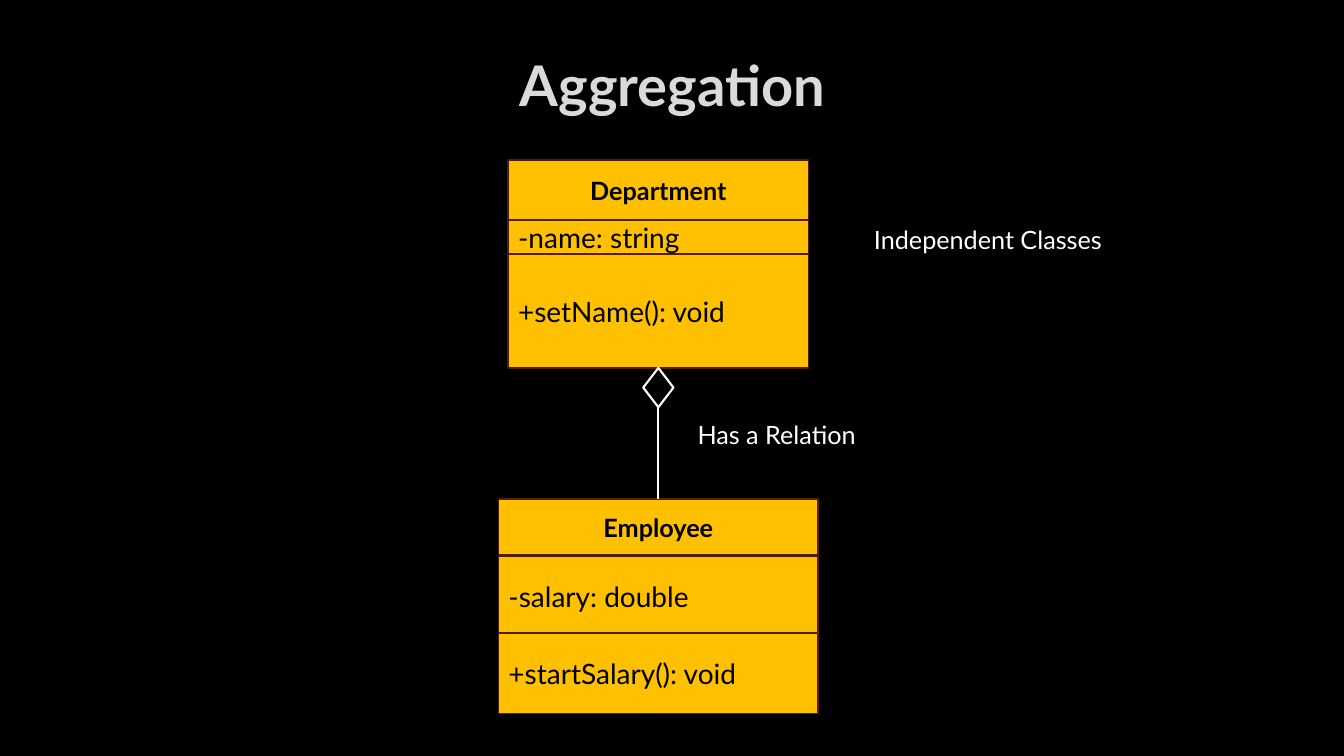
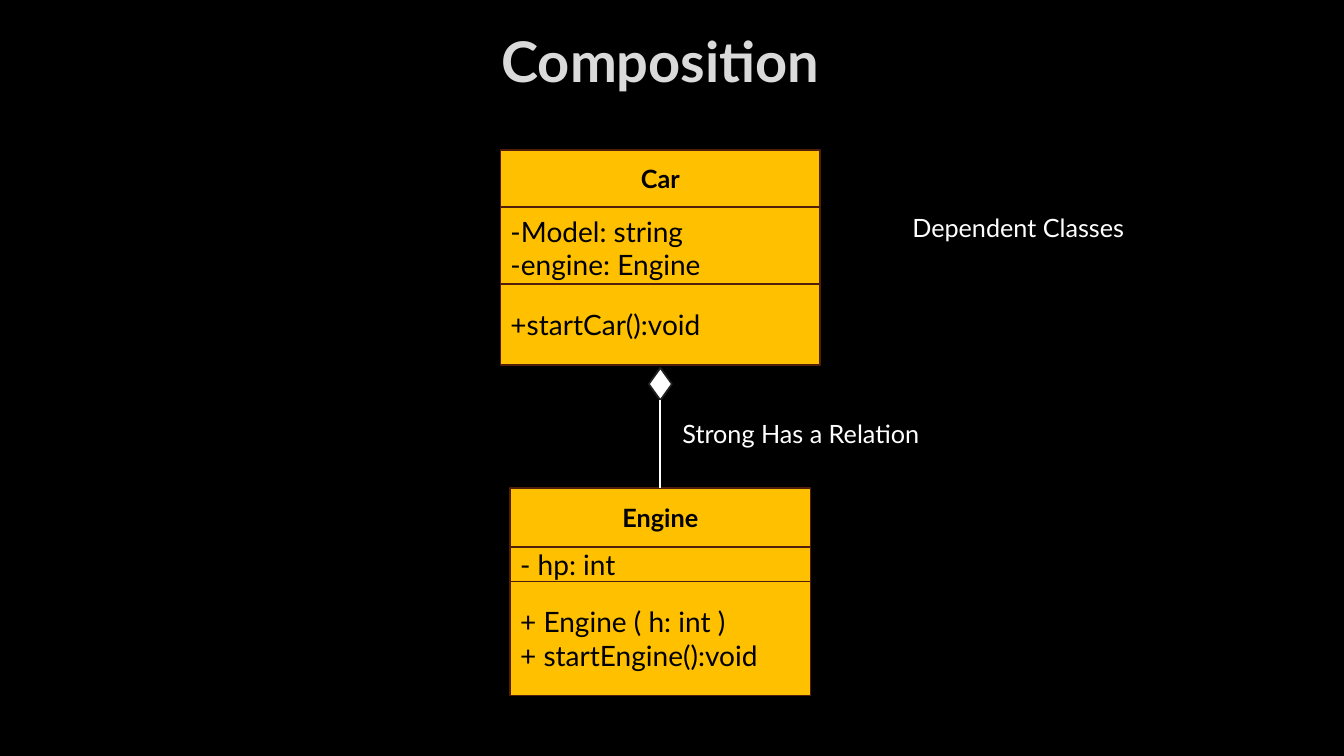
from lxml import etree
from pptx import Presentation
from pptx.dml.color import RGBColor
from pptx.enum import shapes, text
from pptx.oxml import ns
from pptx.util import Inches, Pt

COLORS = {
    "background": "000000",
    "title": "DADADA",
    "label": "FFFFFF",
    "link": "FFFFFF",
    "class_fill": "FFC000",
    "class_line": "521E0C",
    "class_text": "000000",
    "diamond_edge": "212123",
}
FONT = "Lato"
DIAMOND_TOP = 3.65

# Class box sizes: width, then (offset from top, height) of each compartment
NARROW = (2.98, [(0, 0.59), (0.59, 0.34), (0.93, 1.13)])
WIDE = (3.17, [(0, 0.56), (0.57, 0.8), (1.33, 0.8)])


def color(name):
    return RGBColor.from_string(COLORS[name])


def write(frame, content, size, color_name, bold=False,
          align=text.PP_ALIGN.LEFT):
    """Put text into a frame and format every run."""
    frame.text = content
    frame.word_wrap = True
    for paragraph in frame.paragraphs:
        paragraph.alignment = align
        for run in paragraph.runs:
            run.font.name = FONT
            run.font.size = Pt(size)
            run.font.bold = bold
            run.font.color.rgb = color(color_name)


def outline(shape, color_name, width):
    shape.shadow.inherit = False
    shape.line.color.rgb = color(color_name)
    shape.line.width = Pt(width)


def add_titled_slide(prs, title, left, top):
    slide = prs.slides.add_slide(prs.slide_layouts[5])
    heading = slide.shapes.title
    heading.left, heading.top = Inches(left), Inches(top)
    heading.width, heading.height = Inches(11.32), Inches(1.06)
    heading.text_frame.vertical_anchor = text.MSO_ANCHOR.MIDDLE
    write(heading.text_frame, title, 40, "title", True, text.PP_ALIGN.CENTER)
    return slide


def add_class(slide, axis, top, layout, name, fields, methods):
    """Draw a UML class centred on the axis; return its name compartment."""
    width, compartments = layout
    cells = []
    for (offset, height), content in zip(compartments, (name, fields, methods)):
        cell = slide.shapes.add_shape(
            shapes.MSO_SHAPE.RECTANGLE, Inches(axis - width / 2),
            Inches(top + offset), Inches(width), Inches(height))
        cell.fill.solid()
        cell.fill.fore_color.rgb = color("class_fill")
        outline(cell, "class_line", 1.25)
        cell.text_frame.vertical_anchor = text.MSO_ANCHOR.MIDDLE
        if cells:
            write(cell.text_frame, content, 20, "class_text")
        else:
            write(cell.text_frame, content, 18, "class_text", True,
                  text.PP_ALIGN.CENTER)
        cells.append(cell)
    return cells[0]


def add_diamond(slide, axis, width, height, filled):
    diamond = slide.shapes.add_shape(
        shapes.MSO_SHAPE.FLOWCHART_DECISION, Inches(axis - width / 2),
        Inches(DIAMOND_TOP), Inches(width), Inches(height))
    if filled:
        diamond.fill.solid()
        diamond.fill.fore_color.rgb = color("link")
        outline(diamond, "diamond_edge", 1.25)
    else:
        diamond.fill.background()
        outline(diamond, "link", 1.5)
    return diamond


def add_link(slide, part, diamond):
    """Join the top of the part class to the bottom of the diamond."""
    link = slide.shapes.add_connector(shapes.MSO_CONNECTOR.STRAIGHT, 0, 0, 0, 0)
    link.begin_connect(part, 0)
    link.end_connect(diamond, 2)
    link.line.color.rgb = color("link")
    link.line.width = Pt(1.5)
    etree.SubElement(link._element.spPr, ns.qn("a:effectLst"))


def add_label(slide, content, left, top):
    label = slide.shapes.add_textbox(
        Inches(left), Inches(top), Inches(2.8), Inches(0.4))
    write(label.text_frame, content, 18, "label")


def aggregation(prs):
    slide = add_titled_slide(prs, "Aggregation", 1.01, 0.3)
    axis = 6.53
    add_class(slide, axis, 1.59, NARROW,
              "Department", "-name: string", "+setName(): void")
    employee = add_class(slide, axis, 4.95, WIDE,
                         "Employee", "-salary: double", "+startSalary(): void")
    add_link(slide, employee, add_diamond(slide, axis, 0.3, 0.39, False))
    add_label(slide, "Independent Classes", 8.57, 2.18)
    add_label(slide, "Has a Relation", 6.82, 4.11)


def composition(prs):
    slide = add_titled_slide(prs, "Composition", 0.89, 0.07)
    axis = 6.55
    add_class(slide, axis, 1.49, WIDE,
              "Car", "-Model: string\n-engine: Engine", "+startCar():void")
    engine = add_class(slide, axis, 4.84, NARROW, "Engine", "- hp: int",
                       "+ Engine ( h: int )\n+ startEngine():void")
    add_link(slide, engine, add_diamond(slide, axis, 0.23, 0.32, True))
    add_label(slide, "Strong Has a Relation", 6.67, 4.1)
    add_label(slide, "Dependent Classes", 8.95, 2.06)


def main():
    prs = Presentation()
    prs.slide_width, prs.slide_height = Inches(13.33), Inches(7.5)

    # Shared background
    backdrop = prs.slide_master.background.fill
    backdrop.solid()
    backdrop.fore_color.rgb = color("background")

    aggregation(prs)
    composition(prs)
    prs.save("out.pptx")


if __name__ == "__main__":
    main()
